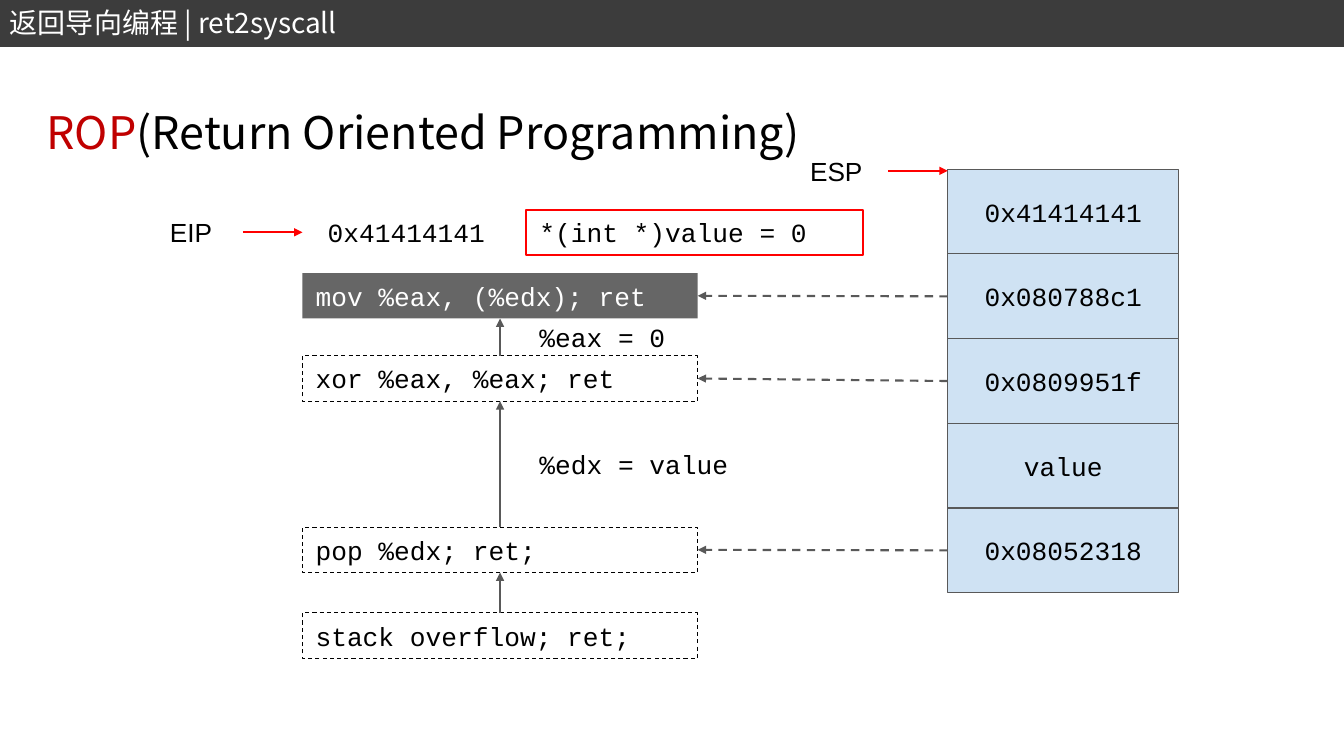
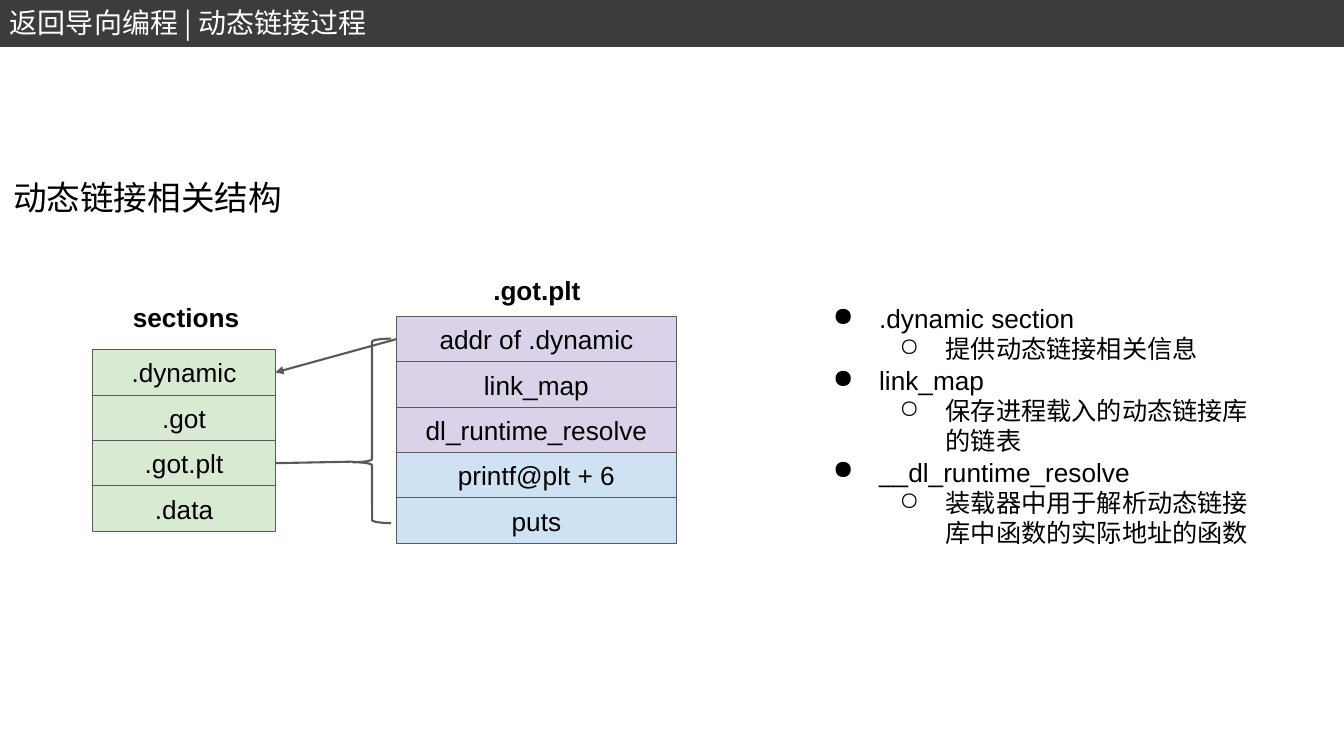
"""Build two slides on return-oriented programming and dynamic linking."""
from lxml import etree
from pptx import Presentation
from pptx.dml.color import RGBColor
from pptx.enum.dml import MSO_LINE
from pptx.enum.shapes import MSO_CONNECTOR, MSO_SHAPE
from pptx.enum.text import MSO_ANCHOR, MSO_AUTO_SIZE, PP_ALIGN
from pptx.oxml.ns import qn
from pptx.util import Inches, Pt

RECT, BRACE = MSO_SHAPE.RECTANGLE, MSO_SHAPE.LEFT_BRACE
STRAIGHT, DASH = MSO_CONNECTOR.STRAIGHT, MSO_LINE.DASH
LEFT, CENTER = PP_ALIGN.LEFT, PP_ALIGN.CENTER
TOP, MIDDLE = MSO_ANCHOR.TOP, MSO_ANCHOR.MIDDLE
COLORS = {
    "band": "3C3C3C", "white": "FFFFFF", "black": "000000", "gray": "595959",
    "dark": "666666", "red": "FF0000", "accent": "C00000",
    "blue": "CFE2F3", "green": "D9EAD3", "purple": "D9D2E9",
}
SANS, MONO, CJK = "Arial", "Courier New", "Noto Sans CJK SC"
BODY = 18.7
ROW = 0.45

ROP_HEADER = "返回导向编程 | ret2syscall"
ROP_TITLE = [("ROP", "accent"), ("(Return Oriented Programming)", "black")]
STACK = ["0x41414141", "0x080788c1", "0x0809951f", "value", "0x08052318"]
STACK_AT = (9.4, 1.68, 2.29, 0.84)
GADGETS = [
    ("stack overflow; ret;", 6.08, None),
    ("pop %edx; ret;", 5.23, 4),
    ("xor %eax, %eax; ret", 3.53, 2),
    ("mov %eax, (%edx); ret", 2.71, 1),
]
GADGET_LEFT, GADGET_WIDTH = 3, 3.92
STATES = [("%edx = value", 5.22, 4.38), ("%eax = 0", 5.22, 3.12), ("0x41414141", 3.12, 2.08)]
REGISTERS = [("ESP", 7.83, 1.47), ("EIP", 1.43, 2.08)]
RESULT = "*(int *)value = 0"

LINK_HEADER = "返回导向编程 | 动态链接过程"
LINK_TITLE = "动态链接相关结构"
SECTIONS = [(name, "green") for name in (".dynamic", ".got", ".got.plt", ".data")]
GOT_PLT = [
    ("addr of .dynamic", "purple"), ("link_map", "purple"), ("dl_runtime_resolve", "purple"),
    ("printf@plt + 6", "blue"), ("puts", "blue"),
]
SECTIONS_AT, GOT_PLT_AT = (0.92, 3.47, 1.81, ROW), (3.93, 3.14, 2.78, ROW)
CAPTIONS = [("sections", 1.12, 2.98), (".got.plt", 4.6, 2.71)]
NOTES = [
    (".dynamic section", "提供动态链接相关信息"),
    ("link_map", "保存进程载入的动态链接库的链表"),
    ("__dl_runtime_resolve", "装载器中用于解析动态链接库中函数的实际地址的函数"),
]


def rgb(color):
    return RGBColor.from_string(COLORS[color])


def style(paragraph, font=SANS, size=BODY, color="black", bold=False):
    paragraph.font.size, paragraph.font.bold = Pt(size), bold
    paragraph.font.color.rgb = rgb(color)
    paragraph.font.name = font
    defaults = paragraph._p.pPr.find(qn("a:defRPr"))
    etree.SubElement(defaults, qn("a:ea"), typeface=font)


def bullet(paragraph, char, indent):
    props = paragraph._p.get_or_add_pPr()
    props.set("marL", str(Inches(indent)))
    props.set("indent", str(Inches(-0.46)))
    tint = etree.SubElement(props, qn("a:buClr"))
    etree.SubElement(tint, qn("a:srgbClr"), val=COLORS["black"])
    etree.SubElement(props, qn("a:buChar"), char=char)


def set_frame(shape, anchor=MIDDLE, inset=0.13):
    frame = shape.text_frame
    frame.word_wrap, frame.vertical_anchor = True, anchor
    frame.margin_left = frame.margin_right = Inches(inset)
    frame.margin_top = frame.margin_bottom = Inches(inset)
    return frame


def write(frame, text, align=LEFT, **look):
    paragraph = frame.paragraphs[0]
    paragraph.text, paragraph.alignment = text, align
    style(paragraph, **look)


def add_label(slide, text, at, anchor=MIDDLE, align=LEFT, **look):
    label = slide.shapes.add_textbox(*map(Inches, at))
    write(set_frame(label, anchor), text, align, **look)


def add_outline(slide, kind, at, fill=None, line=None, width=0.75, dash=None):
    shape = slide.shapes.add_shape(kind, *map(Inches, at))
    shape.shadow.inherit = False
    if fill:
        shape.fill.solid()
        shape.fill.fore_color.rgb = rgb(fill)
    else:
        shape.fill.background()
    if line:
        shape.line.color.rgb, shape.line.width = rgb(line), Pt(width)
        if dash:
            shape.line.dash_style = dash
    else:
        shape.line.fill.background()
    return shape


def add_box(slide, text, at, align=LEFT, font=MONO, color="black", **border):
    box = add_outline(slide, RECT, at, **border)
    write(set_frame(box), text, align, font=font, color=color)


def add_line(slide, start, end, color="gray", dash=None, arrow=True):
    line = slide.shapes.add_connector(STRAIGHT, *map(Inches, start + end))
    line.line.color.rgb, line.line.width = rgb(color), Pt(1.5)
    if dash:
        line.line.dash_style = dash
    props = line._element.spPr
    if arrow:
        etree.SubElement(props.find(qn("a:ln")), qn("a:tailEnd"), type="triangle")
    etree.SubElement(props, qn("a:effectLst"))


def add_column(slide, cells, at, font):
    left, top, width, height = at
    for row, (text, fill) in enumerate(cells):
        add_box(slide, text, (left, top + row * height, width, height),
                CENTER, font, fill=fill, line="gray")


def row_middle(at, row):
    return at[1] + (row + 0.5) * at[3]


def new_slide(deck, header):
    slide = deck.slides.add_slide(deck.slide_layouts[6])
    add_outline(slide, RECT, (0, 0.01, 13.33, 0.44), "band", "band", 2)
    heading = slide.shapes.add_textbox(0, Inches(0.01), Inches(6.17), Inches(0.44))
    frame = heading.text_frame
    frame.word_wrap, frame.auto_size = True, MSO_AUTO_SIZE.SHAPE_TO_FIT_TEXT
    write(frame, header, font=CJK, size=20, color="white")
    return slide


def build_rop(deck):
    slide = new_slide(deck, ROP_HEADER)
    add_column(slide, [(word, "blue") for word in STACK], STACK_AT, MONO)
    center, right = GADGET_LEFT + GADGET_WIDTH / 2, GADGET_LEFT + GADGET_WIDTH
    previous_top = None
    for code, top, stack_row in GADGETS:
        final = code == GADGETS[-1][0]
        look = {"fill": "dark", "color": "white"} if final else {"line": "black", "dash": DASH}
        add_box(slide, code, (GADGET_LEFT, top, GADGET_WIDTH, ROW), **look)
        if previous_top:
            add_line(slide, (center, previous_top), (center, top + ROW))
        if stack_row:
            add_line(slide, (STACK_AT[0], row_middle(STACK_AT, stack_row)),
                     (right, top + ROW / 2), dash=DASH)
        previous_top = top
    for text, left, top in STATES:
        add_label(slide, text, (left, top, 2.37, ROW), font=MONO)
    add_box(slide, RESULT, (5.22, 2.08, 3.34, ROW), line="red", width=1.5)
    for register, left, top in REGISTERS:
        add_label(slide, register, (left, top, 0.93, ROW), align=CENTER)
        start, level = left + 0.98, top + ROW / 2
        add_line(slide, (start, level), (start + 0.59, level), "red")

    title = slide.shapes.add_textbox(*map(Inches, (0.33, 0.97, 9.07, 0.84)))
    paragraph = set_frame(title, TOP).paragraphs[0]
    paragraph.line_spacing = 0.9
    style(paragraph, CJK, 32)
    for text, color in ROP_TITLE:
        run = paragraph.add_run()
        run.text = text
        run.font.color.rgb = rgb(color)


def build_linking(deck):
    slide = new_slide(deck, LINK_HEADER)
    add_label(slide, LINK_TITLE, (0, 1.63, 2.97, 0.7), TOP, font=CJK, size=24)
    add_column(slide, SECTIONS, SECTIONS_AT, SANS)
    add_column(slide, GOT_PLT, GOT_PLT_AT, SANS)
    for text, left, top in CAPTIONS:
        add_label(slide, text, (left, top, 1.45, 0.33), align=CENTER, bold=True)

    sections_right = SECTIONS_AT[0] + SECTIONS_AT[2]
    add_line(slide, (GOT_PLT_AT[0], row_middle(GOT_PLT_AT, 0)),
             (sections_right, row_middle(SECTIONS_AT, 0)))
    brace = add_outline(slide, BRACE, (3.5, 3.36, 0.38, 1.83), line="gray", width=1.5)
    brace.adjustments[0], brace.adjustments[1] = 0.08, 0.67
    add_line(slide, (sections_right, row_middle(SECTIONS_AT, 2)), (3.5, 4.58), arrow=False)

    notes = slide.shapes.add_textbox(*map(Inches, (7.92, 2.87, 4.76, 3.67)))
    frame = set_frame(notes, TOP)
    paragraph = frame.paragraphs[0]
    for index, (term, meaning) in enumerate(NOTES):
        if index:
            paragraph = frame.add_paragraph()
        paragraph.text = term
        bullet(paragraph, "●", 0.67)
        style(paragraph)
        detail = frame.add_paragraph()
        detail.text, detail.level = meaning, 1
        bullet(detail, "○", 1.33)
        style(detail, CJK, 18)


def main():
    deck = Presentation()
    deck.slide_width, deck.slide_height = Inches(13.33), Inches(7.5)
    build_rop(deck)
    build_linking(deck)
    deck.save("out.pptx")


if __name__ == "__main__":
    main()
